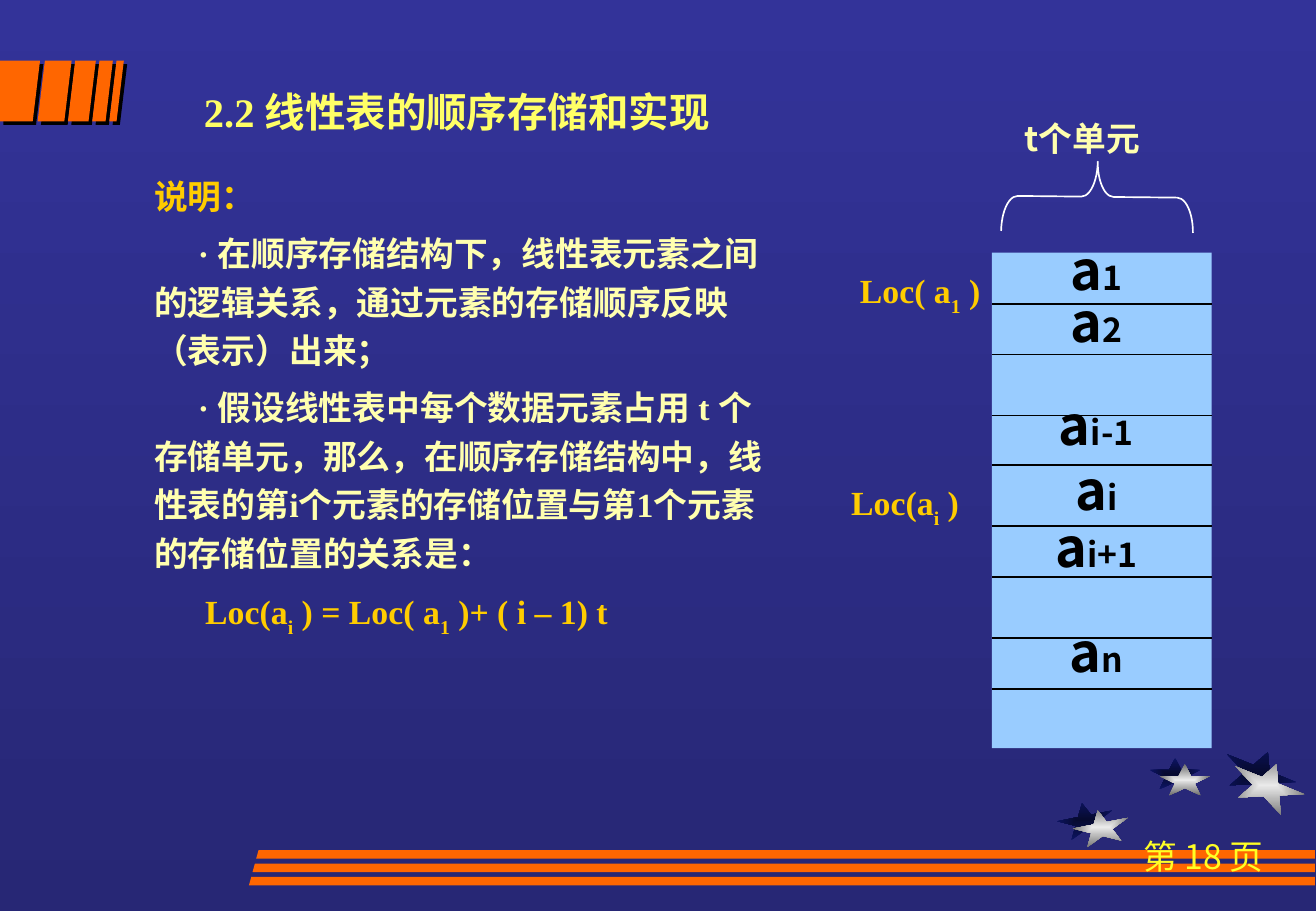
from dataclasses import dataclass
from typing import NamedTuple

from lxml import etree
from pptx import Presentation
from pptx.dml.color import RGBColor
from pptx.enum.shapes import MSO_CONNECTOR, MSO_SHAPE
from pptx.enum.text import MSO_ANCHOR, MSO_AUTO_SIZE, PP_ALIGN
from pptx.oxml.ns import qn
from pptx.util import Emu, Pt

PX = 9144  # EMU in one px, 100 px to the inch
LEFT, CENTER = PP_ALIGN.LEFT, PP_ALIGN.CENTER
STAR, RECTANGLE, BRACE = MSO_SHAPE.STAR_5_POINT, MSO_SHAPE.RECTANGLE, MSO_SHAPE.RIGHT_BRACE


@dataclass(frozen=True)
class Theme:
    back_top: str = "333399"
    back_bottom: str = "272775"
    orange: str = "FF6600"
    title: str = "FFFF66"
    body: str = "FFFFAF"
    accent: str = "FFCC00"
    page: str = "FFFF25"
    cell: str = "99CCFF"
    black: str = "000000"
    white: str = "FFFFFF"
    star_dark: tuple[str, str] = ("060A2F", "0D1565")
    star_light: tuple[str, str] = ("EAEAEA", "6C6C6C")
    serif: str = "Times New Roman"
    sans: str = "Noto Sans CJK SC"
    title_size: int = 24
    text_size: int = 20
    element_size: int = 32


THEME = Theme()


class Box(NamedTuple):
    left: int
    top: int
    width: int
    height: int

    def emu(self) -> list[Emu]:
        return [Emu(side * PX) for side in self]


class Run(NamedTuple):
    text: str
    color: str = THEME.body
    size: int = THEME.text_size
    font: str = THEME.serif
    bold: bool = True
    subscript: bool = False


class Para(NamedTuple):
    runs: list[Run]
    align: PP_ALIGN = LEFT
    line_spacing: float = 1.0
    before: float = 0
    margin: int = 0
    indent: int = 0
    tab: int = 0


class Star(NamedTuple):
    box: Box
    rotation: int
    colors: tuple[str, str]


class Flag(NamedTuple):
    left: int
    width: int


class Element(NamedTuple):
    index: str
    line_spacing: float
    before: float = 0


def rgb(color: str) -> RGBColor:
    return RGBColor.from_string(color)


def write(frame, paras: list[Para]) -> None:
    frame.word_wrap = True
    frame.auto_size = MSO_AUTO_SIZE.NONE
    frame.vertical_anchor = MSO_ANCHOR.TOP
    for number, para in enumerate(paras):
        paragraph = frame.add_paragraph() if number else frame.paragraphs[0]
        props = paragraph._p.get_or_add_pPr()
        props.set("marL", str(para.margin * PX))
        props.set("indent", str(para.indent * PX))
        etree.SubElement(props, qn("a:buNone"))
        if para.tab:
            stops = etree.SubElement(props, qn("a:tabLst"))
            etree.SubElement(stops, qn("a:tab"), pos=str(para.tab * PX), algn="l")
        paragraph.alignment = para.align
        paragraph.line_spacing = para.line_spacing
        paragraph.space_before = Pt(para.before)
        for part in para.runs:
            run = paragraph.add_run()
            run.text = part.text
            run.font.size = Pt(part.size)
            run.font.bold = part.bold
            run.font.name = part.font
            run.font.color.rgb = rgb(part.color)
            run_props = run._r.get_or_add_rPr()
            etree.SubElement(run_props, qn("a:ea"), typeface=THEME.sans)
            if part.subscript:
                run_props.set("baseline", "-30000")


def add_label(slide, box: Box, paras: list[Para]) -> None:
    write(slide.shapes.add_textbox(*box.emu()).text_frame, paras)


def fill_placeholder(holder, box: Box, paras: list[Para]) -> None:
    holder.left, holder.top, holder.width, holder.height = box.emu()
    write(holder.text_frame, paras)


def set_gradient(fill, colors: tuple[str, str]) -> None:
    fill.gradient()
    for stop, color, position in zip(fill.gradient_stops, colors, (0, 1)):
        stop.color.rgb = rgb(color)
        stop.position = position


def add_star(slide, star: Star) -> None:
    """Draw a star whose gradient spreads from its centre."""
    shape = slide.shapes.add_shape(STAR, *star.box.emu())
    shape.rotation = star.rotation
    shape.shadow.inherit = False
    shape.line.fill.background()
    set_gradient(shape.fill, star.colors)
    gradient = shape._element.spPr.find(qn("a:gradFill"))
    gradient.remove(gradient.find(qn("a:lin")))
    spread = etree.SubElement(gradient, qn("a:path"), {"path": "rect"})
    etree.SubElement(spread, qn("a:fillToRect"), dict.fromkeys("ltrb", "50000"))


def add_polygon(slide, points: list[tuple[int, int]], shadow: bool = False) -> None:
    builder = slide.shapes.build_freeform(*points[0], scale=PX)
    builder.add_line_segments(points[1:], close=True)
    shape = builder.convert_to_shape()
    shape.fill.solid()
    shape.fill.fore_color.rgb = rgb(THEME.orange)
    shape.line.fill.background()
    shape.shadow.inherit = False
    if shadow:
        effects = shape._element.spPr.find(qn("a:effectLst"))
        outer = etree.SubElement(effects, qn("a:outerShdw"), dist=str(Pt(2.8)), dir="2700000",
                                 algn="ctr", rotWithShape="0")
        etree.SubElement(outer, qn("a:srgbClr"), val=THEME.black)


def add_decoration(slide) -> None:
    for star in (
        Star(Box(871, 661, 46, 28), -11, THEME.star_dark),
        Star(Box(947, 624, 42, 26), 0, THEME.star_dark),
        Star(Box(1007, 618, 61, 37), 22, THEME.star_dark),
        Star(Box(884, 667, 46, 28), -11, THEME.star_light),
        Star(Box(955, 629, 42, 26), 0, THEME.star_light),
        Star(Box(1014, 628, 61, 37), 22, THEME.star_light),
    ):
        add_star(slide, star)
    add_polygon(slide, [(0, 50), (33, 50), (27, 100), (0, 100)], shadow=True)
    for left, width in (Flag(31, 22), Flag(56, 17), Flag(76, 11), Flag(90, 6)):
        right = left + width
        add_polygon(slide, [(left + 6, 50), (left, 100), (right, 100), (right + 6, 50)], shadow=True)
    for step in range(3):
        left, top = 211 - 3 * step, 700 + 11 * step
        add_polygon(slide, [(left, top + 7), (1083, top + 7), (1083, top), (left + 2, top)])


def add_storage(slide) -> None:
    """Draw the column of storage cells with its elements and brace."""
    column = slide.shapes.add_shape(RECTANGLE, *Box(817, 208, 181, 408).emu())
    column.fill.solid()
    column.fill.fore_color.rgb = rgb(THEME.cell)
    column.line.fill.background()
    column.shadow.inherit = False
    for y in (250, 292, 342, 383, 433, 475, 525, 567):
        border = slide.shapes.add_connector(
            MSO_CONNECTOR.STRAIGHT, *(Emu(v * PX) for v in (817, y, 998, y)))
        border.line.color.rgb = rgb(THEME.black)
        border.line.width = Pt(1)
        etree.SubElement(border._element.spPr, qn("a:effectLst"))
    elements = [Element("1", 0.8), Element("2", 0.8), Element("i-1", 1.1, 19.2),
                Element("i", 1.0), Element("i+1", 0.9), Element("n", 1.1, 19.2)]
    add_label(slide, Box(808, 200, 190, 368), [
        Para([Run("a", THEME.black, THEME.element_size, THEME.sans),
              Run(element.index, THEME.black, font=THEME.sans)],
             CENTER, element.line_spacing, element.before)
        for element in elements])
    brace = slide.shapes.add_shape(BRACE, *Box(875, 83, 58, 158).emu())
    brace.rotation = 270.6
    brace.adjustments[0] = 0.23
    brace.fill.background()
    brace.line.color.rgb = rgb(THEME.white)
    brace.line.width = Pt(1)
    brace.shadow.inherit = False


def location(before: str, index: str, after: str) -> list[Run]:
    return [Run(before, THEME.accent), Run(index, THEME.accent, subscript=True),
            Run(after, THEME.accent)]


def main() -> None:
    deck = Presentation()
    deck.slide_width, deck.slide_height = Emu(1084 * PX), Emu(750 * PX)
    slide = deck.slides.add_slide(deck.slide_layouts[1])
    background = slide.background.fill
    set_gradient(background, (THEME.back_top, THEME.back_bottom))
    background.gradient_angle = 270
    add_decoration(slide)
    add_label(slide, Box(900, 683, 183, 84), [
        Para([Run("第 18 页", THEME.page, font=THEME.sans, bold=False)], CENTER)])
    fill_placeholder(slide.shapes.title, Box(158, 67, 542, 67), [
        Para([Run("2.2\t线性表的顺序存储和实现", THEME.title, THEME.title_size)], tab=84)])
    notes = ["· 在顺序存储结构下，线性表元素之间的逻辑关系，通过元素的存储顺序反映（表示）出来；",
             "· 假设线性表中每个数据元素占用 t 个存储单元，那么，在顺序存储结构中，"
             "线性表的第i个元素的存储位置与第1个元素的存储位置的关系是："]
    formula = location("Loc(a", "i", " ) = Loc( a") + location("", "1", " )+ ( i – 1) t")[1:]
    fill_placeholder(slide.placeholders[1], Box(117, 133, 525, 438), [
        Para([Run("说明：", THEME.accent)], line_spacing=1.2),
        *(Para([Run(note)], line_spacing=1.2, before=5, indent=36) for note in notes),
        Para(formula, line_spacing=1.2, before=5, margin=42)])
    add_storage(slide)
    add_label(slide, Box(800, 92, 183, 44), [Para([Run("t个单元", font=THEME.sans)], CENTER)])
    add_label(slide, Box(683, 217, 150, 50), [Para(location("Loc( a", "1", " )"), CENTER)])
    add_label(slide, Box(658, 392, 175, 50), [Para(location("Loc(a", "i", " )"), CENTER)])
    deck.save("out.pptx")


if __name__ == "__main__":
    main()
